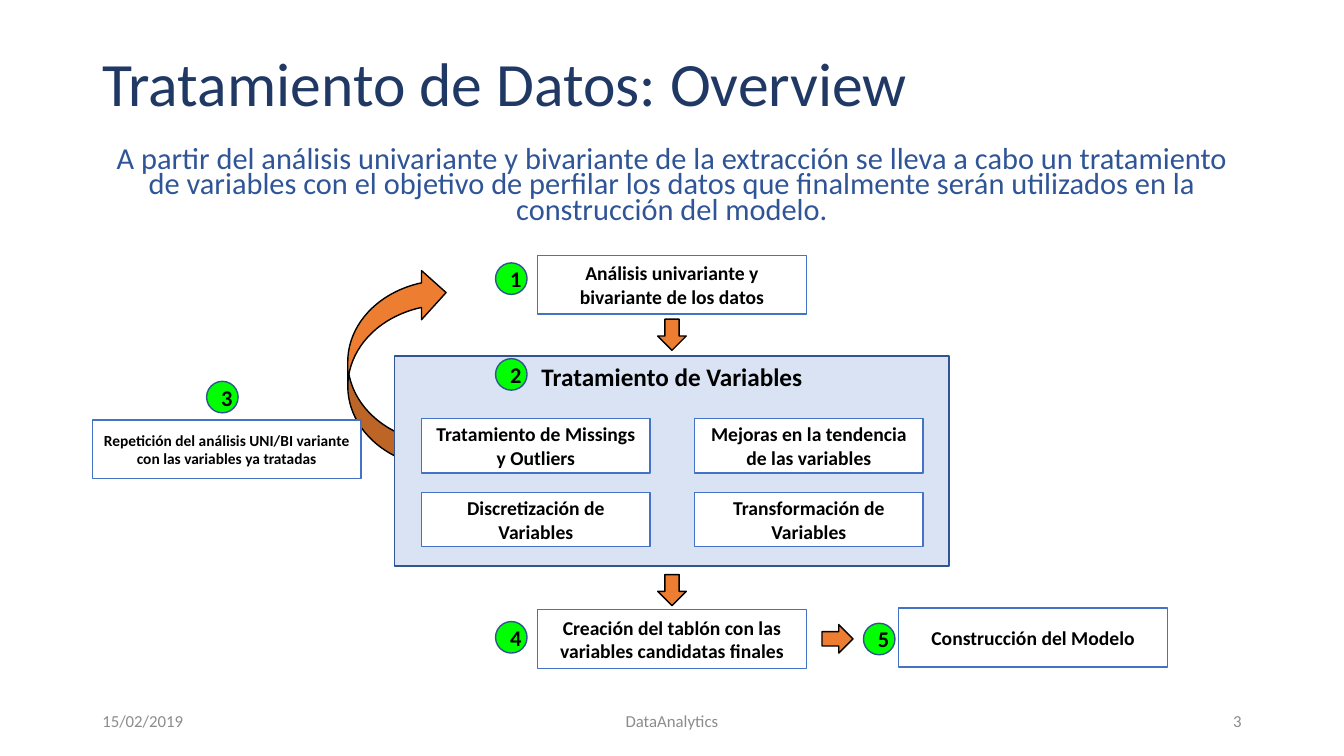
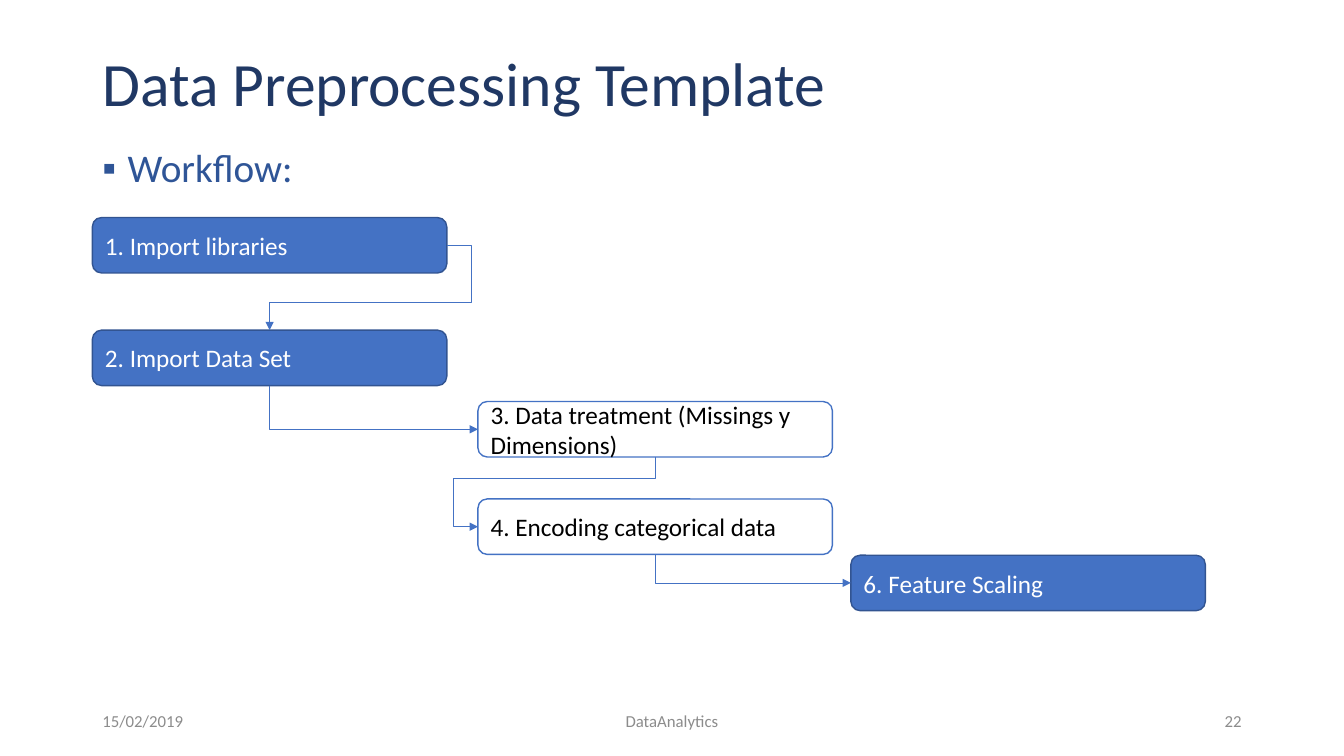
from pptx import Presentation
from pptx.dml.color import RGBColor
from pptx.enum.shapes import MSO_CONNECTOR as Connector, MSO_SHAPE as Shape
from pptx.enum.text import MSO_ANCHOR as Anchor, MSO_AUTO_SIZE as AutoSize, PP_ALIGN as Align
from pptx.oxml.ns import qn
from pptx.util import Inches, Pt
from lxml.etree import SubElement

COLUMNS, ROWS = 160, 90
TOP, LEFT, BOTTOM, RIGHT = range(4)

NAVY, BLUE, ACCENT, EDGE = "203864", "2F5597", "4472C4", "325491"
PALE, ORANGE, GREEN, GRAY = "DAE3F3", "ED7D31", "00FF00", "8C8C8C"
WHITE, BLACK = "FFFFFF", "000000"


def color(hex_code):
    return RGBColor.from_string(hex_code)


class Deck:
    """Holds the shared style and the slide being built; lengths are in grid cells."""

    font = "Calibri"
    margin, content_width = 11, 138

    def __init__(self):
        self.deck = Presentation()
        self.deck.slide_width = Inches(40 / 3)
        self.deck.slide_height = Inches(7.5)
        self.page = None

    def grid(self, left, top, width, height):
        """Turn columns and rows into slide lengths."""
        column = self.deck.slide_width / COLUMNS
        row = self.deck.slide_height / ROWS
        return [round(cells * unit) for cells, unit in
                zip((left, top, width, height), (column, row, column, row))]

    def label(self, box, text, size, ink, align=Align.LEFT, bold=False, anchor=Anchor.MIDDLE):
        frame = box.text_frame
        frame.text = text
        frame.word_wrap = True
        frame.auto_size = AutoSize.NONE
        frame.vertical_anchor = anchor
        para = frame.paragraphs[0]
        para.alignment = align
        for span in para.runs:
            span.font.name = self.font
            span.font.size = Pt(size)
            span.font.bold = bold
            span.font.color.rgb = color(ink)
        return para

    def new_page(self, title, number):
        self.page = self.deck.slides.add_slide(self.deck.slide_layouts[1])
        heading = self.page.shapes.title
        self.place(heading, 4.8, 11)
        self.label(heading, title, 44, NAVY).line_spacing = 0.9
        footers = [("15/02/2019", self.margin, 36, Align.LEFT),
                   ("DataAnalytics", 53, 54, Align.CENTER),
                   (number, 113, 36, Align.RIGHT)]
        for text, left, width, align in footers:
            box = self.page.shapes.add_textbox(*self.grid(left, 83.4, width, 4.8))
            self.label(box, text, 12, GRAY, align)

    def place(self, placeholder, top, height):
        """Stretch a placeholder over the content width."""
        (placeholder.left, placeholder.top, placeholder.width,
         placeholder.height) = self.grid(self.margin, top, self.content_width, height)

    def body(self, text, height, size, spacing, align=Align.LEFT, bullet=None):
        box = self.page.placeholders[1]
        self.place(box, 17.1, height)
        para = self.label(box, text, size, BLUE, align, anchor=Anchor.TOP)
        para.line_spacing = spacing
        para.space_before = Pt(10)
        properties = para._p.get_or_add_pPr()
        indent = Inches(0.25) if bullet else 0
        properties.set("marL", str(indent))
        properties.set("indent", str(-indent))
        if bullet:
            SubElement(properties, qn("a:buChar")).set("char", bullet)
        else:
            SubElement(properties, qn("a:buNone"))

    def shape(self, kind, left, top, width, height, fill, line):
        shape = self.page.shapes.add_shape(kind, *self.grid(left, top, width, height))
        shape.shadow.inherit = False
        shape.fill.solid()
        shape.fill.fore_color.rgb = color(fill)
        shape.line.color.rgb = color(line)
        shape.line.width = Pt(1)
        return shape

    def task(self, text, left, top, width=32, height=7, size=14):
        box = self.shape(Shape.RECTANGLE, left, top, width, height, WHITE, ACCENT)
        self.label(box, text, size, BLACK, Align.CENTER, bold=True)

    def panel(self, text, left, top, width, height):
        box = self.shape(Shape.RECTANGLE, left, top, width, height, PALE, EDGE)
        self.label(box, text, 18, BLACK, Align.CENTER, bold=True, anchor=Anchor.TOP)

    def badge(self, text, left, top):
        dot = self.shape(Shape.OVAL, left, top, 3.75, 3.75, GREEN, EDGE)
        self.label(dot, text, 16, BLACK, Align.CENTER, bold=True)

    def block_arrow(self, left, top, rotation=0):
        arrow = self.shape(Shape.DOWN_ARROW, left, top, 3.4, 3.7, ORANGE, BLACK)
        arrow.rotation = rotation

    def return_arrow(self, left, top, width, height):
        arrow = self.shape(Shape.CURVED_RIGHT_ARROW, left, top, width, height, ORANGE, BLACK)
        arrow.rotation = 180
        arrow._element.spPr.find(qn("a:xfrm")).set("flipH", "1")

    def step(self, text, left, top, filled):
        fill, line, ink = (ACCENT, EDGE, WHITE) if filled else (WHITE, ACCENT, BLACK)
        box = self.shape(Shape.ROUNDED_RECTANGLE, left, top, 42.2, 6.6, fill, line)
        self.label(box, text, 18, ink)
        return box

    def elbow(self, source, source_side, target, target_side, bends=()):
        """Join two boxes; bends are the turning points as shares of the connector's size."""
        link = self.page.shapes.add_connector(Connector.ELBOW, 0, 0, 0, 0)
        link.begin_connect(source, source_side)
        link.end_connect(target, target_side)
        link.line.color.rgb = color(ACCENT)
        link.line.width = Pt(0.5)
        properties = link._element.spPr
        SubElement(properties.find(qn("a:ln")), qn("a:tailEnd")).set("type", "triangle")
        SubElement(properties, qn("a:effectLst"))
        self.route(properties, link, source_side in (TOP, BOTTOM), bends)

    def route(self, properties, link, starts_down, bends):
        """Turn the connector so that it leaves its first box the right way."""
        across, down = link.end_x - link.begin_x, link.end_y - link.begin_y
        middle_x = (link.begin_x + link.end_x) // 2
        middle_y = (link.begin_y + link.end_y) // 2
        width, height = abs(across), abs(down)
        rotation, flip = 0, across < 0
        if starts_down:
            width, height = height, width
            rotation, flip = (270, True) if across > 0 else (90, False)
        link.left, link.top = middle_x - width // 2, middle_y - height // 2
        link.width, link.height = width, height
        frame = properties.find(qn("a:xfrm"))
        for name in ("flipH", "flipV"):
            frame.attrib.pop(name, None)
        frame.set("rot", str(rotation * 60000))
        if flip:
            frame.set("flipH", "1")
        geometry = properties.find(qn("a:prstGeom"))
        geometry.set("prst", f"bentConnector{2 + len(bends)}")
        guides = geometry.find(qn("a:avLst"))
        if guides is None:
            guides = SubElement(geometry, qn("a:avLst"))
        for index, share in enumerate(bends, 1):
            guide = SubElement(guides, qn("a:gd"))
            guide.set("name", f"adj{index}")
            guide.set("fmla", f"val {round(share * 100000)}")


def overview(deck):
    deck.new_page("Tratamiento de Datos: Overview", "3")
    deck.body("A partir del análisis univariante y bivariante de la extracción se lleva a cabo "
              "un tratamiento de variables con el objetivo de perfilar los datos que finalmente "
              "serán utilizados en la construcción del modelo.", 11, 21.7, 0.7, Align.CENTER)
    deck.return_arrow(41.4, 31.9, 11.7, 23.8)
    deck.task("Análisis univariante y bivariante de los datos", 64, 30.4)
    deck.panel("Tratamiento de Variables", 47, 42.4, 66, 25)
    treatments = ["Tratamiento de Missings y Outliers", "Mejoras en la tendencia de las variables",
                  "Discretización de Variables", "Transformación de Variables"]
    for index, text in enumerate(treatments):
        row, column = divmod(index, 2)
        deck.task(text, 50.2 + 32.5 * column, 49.8 + 8.8 * row, 27.2, 6.5)
    deck.task("Creación del tablón con las variables candidatas finales", 64, 72.6)
    deck.task("Construcción del Modelo", 107, 72.4)
    deck.task("Repetición del análisis UNI/BI variante con las variables ya tratadas",
              11, 50, size=11)
    for left, top, rotation in [(78.3, 38, 0), (78.3, 68.4, 0), (98, 74.2, 270)]:
        deck.block_arrow(left, top, rotation)
    badges = [(59, 31.3), (59, 42.7), (24.6, 45.4), (59, 74), (102.8, 74.2)]
    for number, (left, top) in enumerate(badges, 1):
        deck.badge(str(number), left, top)


def workflow(deck):
    deck.new_page("Data Preprocessing Template", "22")
    deck.body("Workflow:", 6.6, 28, 0.9, bullet="▪")
    first, second, third = 11, 56.9, 101.3
    libraries = deck.step("1. Import libraries", first, 25.9, True)
    data_set = deck.step("2. Import Data Set", first, 39.3, True)
    treatment = deck.step("3. Data treatment (Missings y Dimensions)", second, 47.8, False)
    encoding = deck.step("4. Encoding categorical data", second, 59.4, False)
    scaling = deck.step("6. Feature Scaling", third, 66.1, True)
    deck.elbow(libraries, RIGHT, data_set, TOP, (-0.14, 0.67))
    deck.elbow(data_set, BOTTOM, treatment, LEFT)
    deck.elbow(treatment, BOTTOM, encoding, LEFT, (0.3, 1.14))
    deck.elbow(encoding, BOTTOM, scaling, LEFT)


def main():
    deck = Deck()
    overview(deck)
    workflow(deck)
    deck.deck.save("out.pptx")


if __name__ == "__main__":
    main()
